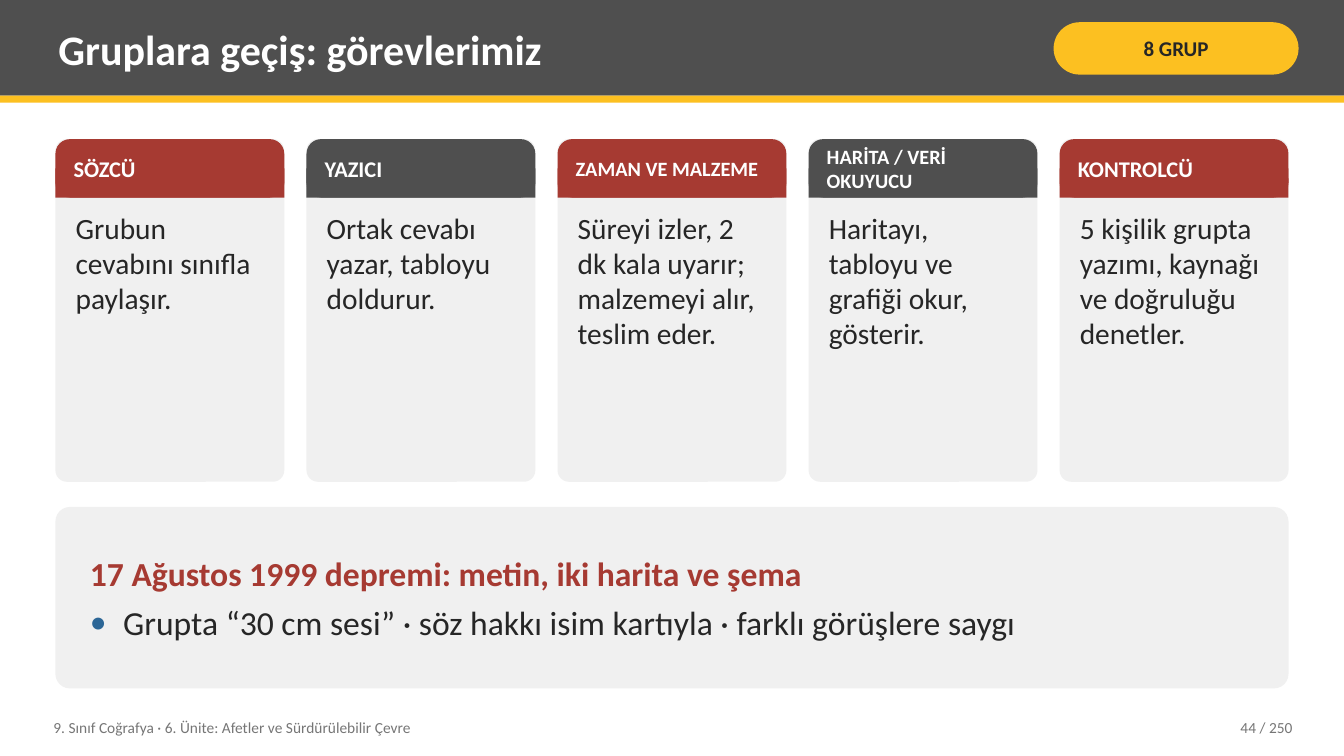
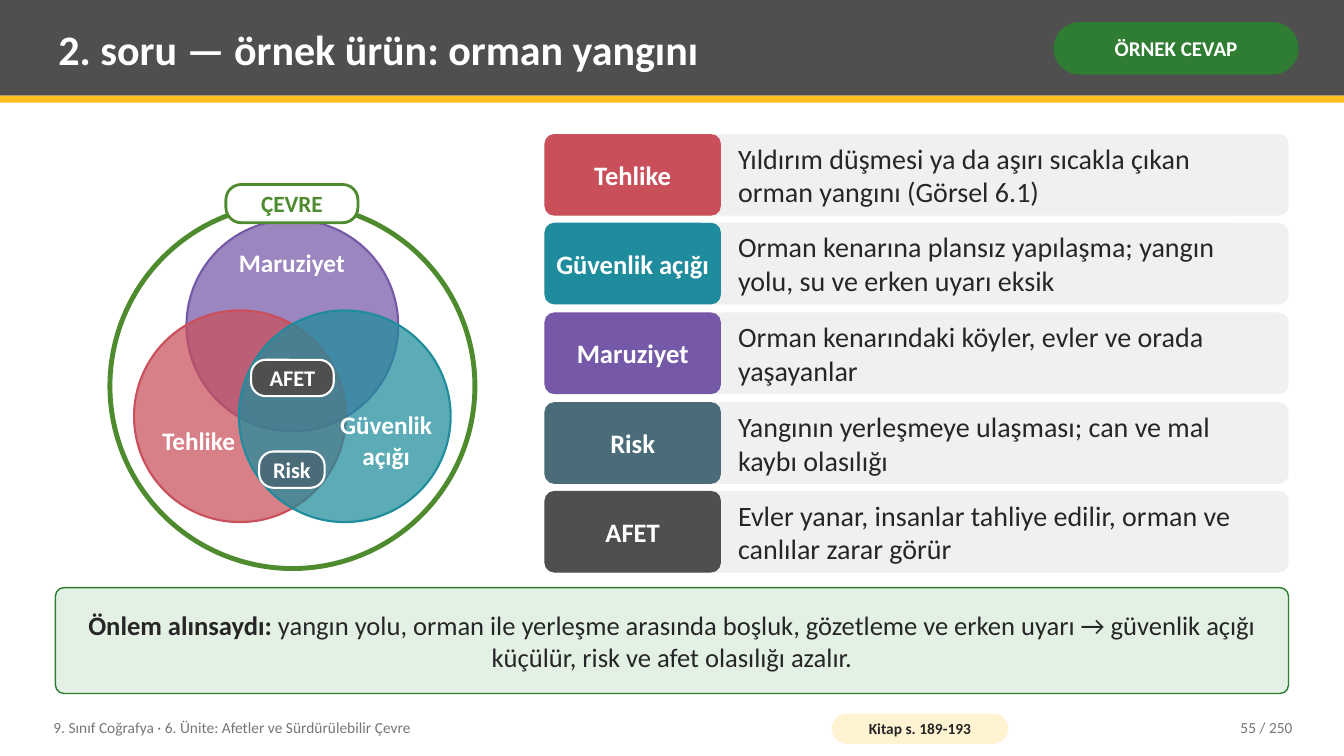
from dataclasses import dataclass

from lxml.etree import SubElement
from pptx import Presentation
from pptx.dml.color import RGBColor
from pptx.enum.shapes import MSO_SHAPE as Preset
from pptx.enum.text import MSO_ANCHOR as Anchor, PP_ALIGN as Align
from pptx.oxml.ns import qn
from pptx.util import Pt


@dataclass(frozen=True)
class Theme:
    font: str = "Calibri"
    white: str = "FFFFFF"
    ink: str = "262626"
    charcoal: str = "4F4F4F"
    muted: str = "767676"
    panel: str = "F0F0F0"
    yellow: str = "FCC021"
    cream: str = "FFF3D1"
    brick: str = "A63A32"
    bullet: str = "2C6696"
    green: str = "2E7D32"
    mint: str = "E3F1E4"
    leaf: str = "4E8A2E"
    red: str = "C94F5A"
    teal: str = "1E8C9C"
    purple: str = "7558A8"
    slate: str = "4A6B78"
    title_size: float = 30
    lead_size: float = 24
    card_size: float = 21
    row_size: float = 20
    key_size: float = 19
    circle_size: float = 18
    ring_size: float = 16.6
    label_size: float = 16
    badge_size: float = 15
    long_label_size: float = 14.5
    footer_size: float = 11


theme = Theme()
PX = 9144
LEFT, WIDTH = 55, 1223


def draw(slide, preset, at, fill, radius=None, line=None, line_width=1, opacity=None):
    shape = slide.shapes.add_shape(preset, *(value * PX for value in at))
    shape.shadow.inherit = False
    if radius is not None:
        shape.adjustments[0] = radius
    shape.fill.solid()
    shape.fill.fore_color.rgb = RGBColor.from_string(fill)
    if opacity:
        color = shape._element.spPr.find(qn("a:solidFill"))[0]
        SubElement(color, qn("a:alpha")).set("val", str(opacity * 1000))
    if line:
        shape.line.color.rgb = RGBColor.from_string(line)
        shape.line.width = Pt(line_width)
    else:
        shape.line.fill.background()
    return shape


def write(shape, paragraphs, size, color, bold=False, align=Align.LEFT,
          anchor=Anchor.MIDDLE, inset=(8, 4)):
    frame = shape.text_frame
    across, down = (value * PX for value in inset)
    frame_format = {
        "word_wrap": True, "vertical_anchor": anchor,
        "margin_left": across, "margin_right": across,
        "margin_top": down, "margin_bottom": down,
    }
    for name, value in frame_format.items():
        setattr(frame, name, value)
    if isinstance(paragraphs, str):
        paragraphs = [[(paragraphs, {})]]
    for index, runs in enumerate(paragraphs):
        paragraph = frame.add_paragraph() if index else frame.paragraphs[0]
        paragraph.alignment = align
        for text, changes in runs:
            run = paragraph.add_run()
            run.text = text
            style = {"color": color, "bold": bold} | changes
            run.font.color.rgb = RGBColor.from_string(style.pop("color"))
            font_format = {"name": theme.font, "size": Pt(size)} | style
            for name, value in font_format.items():
                setattr(run.font, name, value)
    return frame


presentation = Presentation()
presentation.slide_width = 1333 * PX
presentation.slide_height = 750 * PX

headers = [
    ("Gruplara geçiş: görevlerimiz", "8 GRUP", theme.yellow, theme.ink, "44 / 250"),
    ("2. soru — örnek ürün: orman yangını", "ÖRNEK CEVAP", theme.green, theme.white,
     "55 / 250"),
]
slides = []
for title, badge, badge_fill, badge_color, page in headers:
    slide = presentation.slides.add_slide(presentation.slide_layouts[6])
    slides.append(slide)
    draw(slide, Preset.RECTANGLE, (0, 0, 1333, 95), theme.charcoal)
    draw(slide, Preset.RECTANGLE, (0, 95, 1333, 7), theme.yellow)
    badge_shape = draw(slide, Preset.ROUNDED_RECTANGLE, (1045, 22, 243, 52), badge_fill, 0.5)
    write(badge_shape, badge, theme.badge_size, badge_color, True, Align.CENTER,
          inset=(5, 2))
    labels = [
        ((50, 7, 975, 82), title, theme.title_size, theme.white, True, Align.LEFT),
        ((45, 704, 760, 36), "9. Sınıf Coğrafya · 6. Ünite: Afetler ve Sürdürülebilir Çevre",
         theme.footer_size, theme.muted, False, Align.LEFT),
        ((1130, 704, 160, 36), page, theme.footer_size, theme.muted, False, Align.RIGHT),
    ]
    for at, *text_format in labels:
        write(slide.shapes.add_textbox(*(value * PX for value in at)), *text_format)

roles_slide, answer_slide = slides

roles = [
    ("SÖZCÜ", theme.label_size, "Grubun cevabını sınıfla paylaşır."),
    ("YAZICI", theme.label_size, "Ortak cevabı yazar, tabloyu doldurur."),
    ("ZAMAN VE MALZEME", theme.long_label_size,
     "Süreyi izler, 2 dk kala uyarır; malzemeyi alır, teslim eder."),
    ("HARİTA / VERİ OKUYUCU", theme.long_label_size,
     "Haritayı, tabloyu ve grafiği okur, gösterir."),
    ("KONTROLCÜ", theme.label_size,
     "5 kişilik grupta yazımı, kaynağı ve doğruluğu denetler."),
]
card_width, card_gap, card_top, head_height = 227, 22, 138, 58
for index, (role, role_size, duty) in enumerate(roles):
    left = LEFT + index * (card_width + card_gap)
    head_fill = theme.charcoal if index % 2 else theme.brick
    draw(roles_slide, Preset.ROUNDED_RECTANGLE, (left, card_top, card_width, 340),
         theme.panel, 0.05)
    draw(roles_slide, Preset.ROUNDED_RECTANGLE, (left, card_top, card_width, head_height),
         head_fill, 0.25)
    draw(roles_slide, Preset.RECTANGLE,
         (left, card_top + head_height // 2, card_width, head_height // 2), head_fill)
    head_at = (left + 10, card_top, card_width - 20, head_height)
    duty_at = (left + 12, card_top + 66, card_width - 24, 266)
    write(roles_slide.shapes.add_textbox(*(value * PX for value in head_at)), role,
          role_size, theme.white, True)
    write(roles_slide.shapes.add_textbox(*(value * PX for value in duty_at)), duty,
          theme.card_size, theme.ink, anchor=Anchor.TOP)

topic = draw(roles_slide, Preset.ROUNDED_RECTANGLE, (LEFT, 503, WIDTH, 180), theme.panel, 0.08)
topic_frame = write(topic, [
    [("17 Ağustos 1999 depremi: metin, iki harita ve şema",
      {"color": theme.brick, "bold": True})],
    [("Grupta “30 cm sesi” · söz hakkı isim kartıyla · farklı görüşlere saygı", {})],
], theme.lead_size, theme.ink, inset=(30, 8))
heading, rule = topic_frame.paragraphs
heading.space_after = Pt(6)
properties = rule._p.get_or_add_pPr()
properties.set("marL", str(33 * PX))
properties.set("indent", str(-33 * PX))
bullet_color = SubElement(properties, qn("a:buClr"))
SubElement(bullet_color, qn("a:srgbClr")).set("val", theme.bullet)
SubElement(properties, qn("a:buFont")).set("typeface", theme.font)
SubElement(properties, qn("a:buChar")).set("char", "•")

draw(answer_slide, Preset.OVAL, (109, 202, 362, 362), theme.white, line=theme.leaf,
     line_width=3.5)
circles = [
    (185, 218, theme.purple, "Maruziyet", (211, 238, 157, 44)),
    (133, 308, theme.red, "Tehlike", (147, 415, 100, 44)),
    (237, 308, theme.teal, "Güvenlik açığı", (333, 404, 100, 65)),
]
for left, top, color, *_ in circles:
    draw(answer_slide, Preset.OVAL, (left, top, 210, 210), color, line=color,
         line_width=1.5, opacity=72)
for *_, name, at in circles:
    write(answer_slide.shapes.add_textbox(*(value * PX for value in at)), name,
          theme.circle_size, theme.white, True, Align.CENTER, inset=(2, 0))

tags = [
    ("Risk", (257, 448, 65, 36), theme.slate, theme.white, 1.5, theme.label_size),
    ("AFET", (249, 357, 82, 36), theme.charcoal, theme.white, 1.5, theme.label_size),
    ("ÇEVRE", (224, 183, 131, 38), theme.white, theme.leaf, 2, theme.ring_size),
]
for name, at, fill, accent, line_width, size in tags:
    tag = draw(answer_slide, Preset.ROUNDED_RECTANGLE, at, fill, 0.4, accent, line_width)
    write(tag, name, size, accent, True, Align.CENTER, inset=(2, 0))

answers = [
    ("Tehlike", theme.red,
     "Yıldırım düşmesi ya da aşırı sıcakla çıkan orman yangını (Görsel 6.1)"),
    ("Güvenlik açığı", theme.teal,
     "Orman kenarına plansız yapılaşma; yangın yolu, su ve erken uyarı eksik"),
    ("Maruziyet", theme.purple, "Orman kenarındaki köyler, evler ve orada yaşayanlar"),
    ("Risk", theme.slate, "Yangının yerleşmeye ulaşması; can ve mal kaybı olasılığı"),
    ("AFET", theme.charcoal,
     "Evler yanar, insanlar tahliye edilir, orman ve canlılar zarar görür"),
]
row_left, row_height, first_top, last_top = 540, 81, 133, 487
for index, (term, color, answer) in enumerate(answers):
    top = first_top + round(index * (last_top - first_top) / (len(answers) - 1))
    draw(answer_slide, Preset.ROUNDED_RECTANGLE, (row_left, top, 738, row_height),
         theme.panel, 0.12)
    key = draw(answer_slide, Preset.ROUNDED_RECTANGLE, (row_left, top, 175, row_height),
               color, 0.12)
    write(key, term, theme.key_size, theme.white, True, Align.CENTER, inset=(6, 8))
    answer_at = (row_left + 180, top, 553, row_height)
    write(answer_slide.shapes.add_textbox(*(value * PX for value in answer_at)), answer,
          theme.row_size, theme.ink, inset=(12, 5))

measure = draw(answer_slide, Preset.ROUNDED_RECTANGLE, (LEFT, 583, WIDTH, 105), theme.mint,
               0.08, theme.green)
write(measure, [[
    ("Önlem alınsaydı:", {"bold": True}),
    (" yangın yolu, orman ile yerleşme arasında boşluk, gözetleme ve erken uyarı → "
     "güvenlik açığı küçülür, risk ve afet olasılığı azalır.", {}),
]], theme.key_size, theme.ink, align=Align.CENTER, inset=(20, 8))

book_pages = draw(answer_slide, Preset.ROUNDED_RECTANGLE, (825, 708, 175, 30), theme.cream, 0.5)
write(book_pages, "Kitap s. 189-193", theme.footer_size, theme.ink, True, Align.CENTER,
      inset=(4, 0))

presentation.save("out.pptx")
